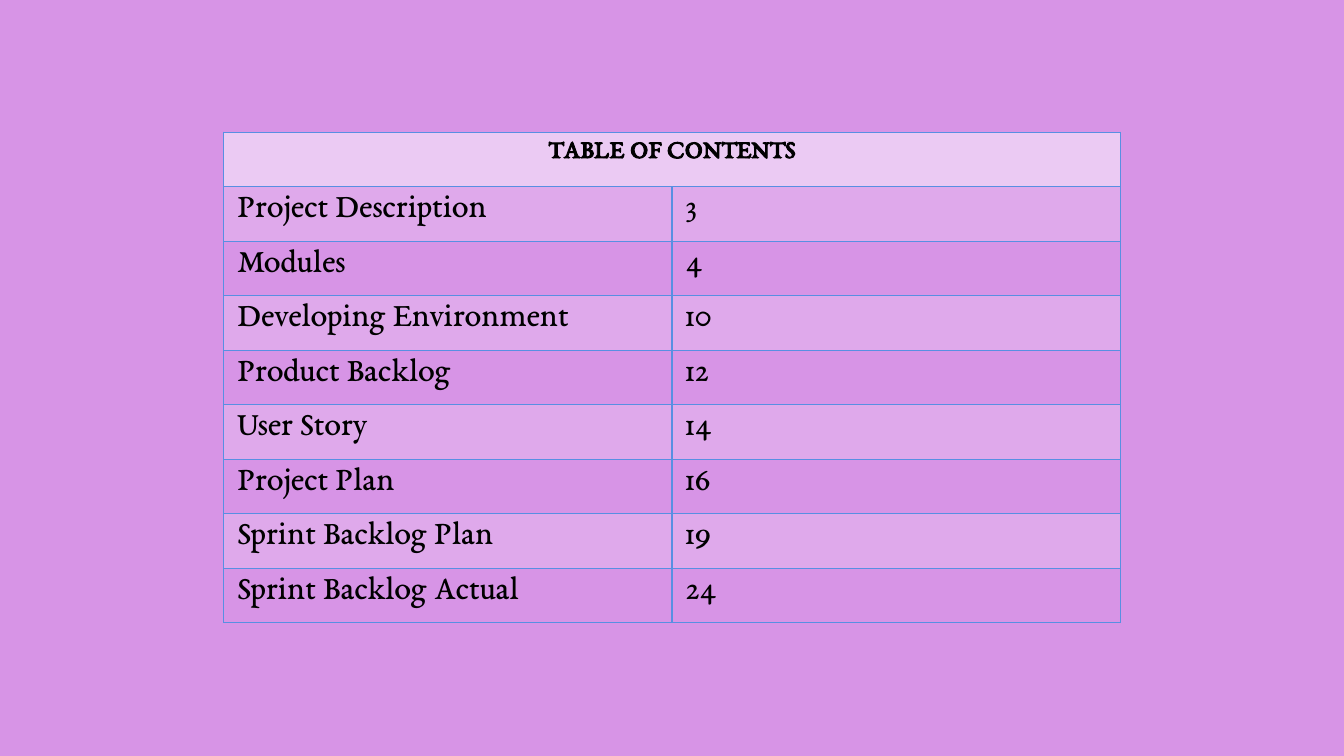
import pptx
import pptx.dml.color
import pptx.enum.text
import pptx.oxml
import pptx.oxml.ns
import pptx.util

Cm = pptx.util.Cm
TITLE = "TABLE OF CONTENTS"
ITEMS = [
    ("Project Description", "3"),
    ("Modules", "4"),
    ("Developing Environment", "10"),
    ("Product Backlog", "12"),
    ("User Story", "14"),
    ("Project Plan", "16"),
    ("Sprint Backlog Plan", "19"),
    ("Sprint Backlog Actual", "24"),
]
THEME = {
    "font": "EB Garamond", "head": 14, "body": 18, "ink": "000000",
    "back": "D794E6", "band": "EBCAF3", "tint": 40, "edge": "588FE2", "line": 0.75,
}
WIDE, HIGH = 25.4, 14.29
LEFT, TOP, ROW = 4.23, 2.5, 1.03


def color(name):
    """Return a theme colour."""
    return pptx.dml.color.RGBColor.from_string(THEME[name])


def write(cell, text, size="body", bold=False, align="LEFT"):
    """Put formatted text in a cell."""
    para = cell.text_frame.paragraphs[0]
    para.alignment = getattr(pptx.enum.text.PP_ALIGN, align)
    run = para.add_run()
    run.text = text
    run.font.name = THEME["font"]
    run.font.size = pptx.util.Pt(THEME[size])
    run.font.bold = bold
    run.font.color.rgb = color("ink")


def paint(cell, alpha):
    """Fill a cell at a percentage of opacity, or leave it clear."""
    if not alpha:
        cell.fill.background()
        return
    cell.fill.solid()
    cell.fill.fore_color.rgb = color("band")
    if alpha < 100:
        tone = cell._tc.tcPr.find(".//" + pptx.oxml.ns.qn("a:srgbClr"))
        tone.append(pptx.oxml.parse_xml(
            f'<a:alpha {pptx.oxml.ns.nsdecls("a")} val="{alpha * 1000}"/>'))


def frame(cell):
    """Draw the four borders of a cell."""
    props = cell._tc.get_or_add_tcPr()
    for spot, side in enumerate("LRTB"):
        props.insert(spot, pptx.oxml.parse_xml(
            f'<a:ln{side} {pptx.oxml.ns.nsdecls("a")} w="{pptx.util.Pt(THEME["line"])}">'
            f'<a:solidFill><a:srgbClr val="{THEME["edge"]}"/></a:solidFill></a:ln{side}>'))


def main():
    """Build the contents slide."""
    deck = pptx.Presentation()
    deck.slide_width, deck.slide_height = Cm(WIDE), Cm(HIGH)
    slide = deck.slides.add_slide(deck.slide_layouts[6])
    slide.background.fill.solid()
    slide.background.fill.fore_color.rgb = color("back")

    count = len(ITEMS) + 1
    table = slide.shapes.add_table(
        count, 2, Cm(LEFT), Cm(TOP), Cm(WIDE - 2 * LEFT), Cm(ROW * count)).table
    table.first_row = table.horz_banding = False
    for row in table.rows:
        row.height = Cm(ROW)

    table.cell(0, 0).merge(table.cell(0, 1))
    write(table.cell(0, 0), TITLE, size="head", bold=True, align="CENTER")
    for r, item in enumerate(ITEMS, 1):
        for c, text in enumerate(item):
            write(table.cell(r, c), text)
    for r in range(count):
        for c in range(2):
            cell = table.cell(r, c)
            paint(cell, 100 if r == 0 else THEME["tint"] * (r % 2))
            frame(cell)
    deck.save("out.pptx")


if __name__ == "__main__":
    main()
